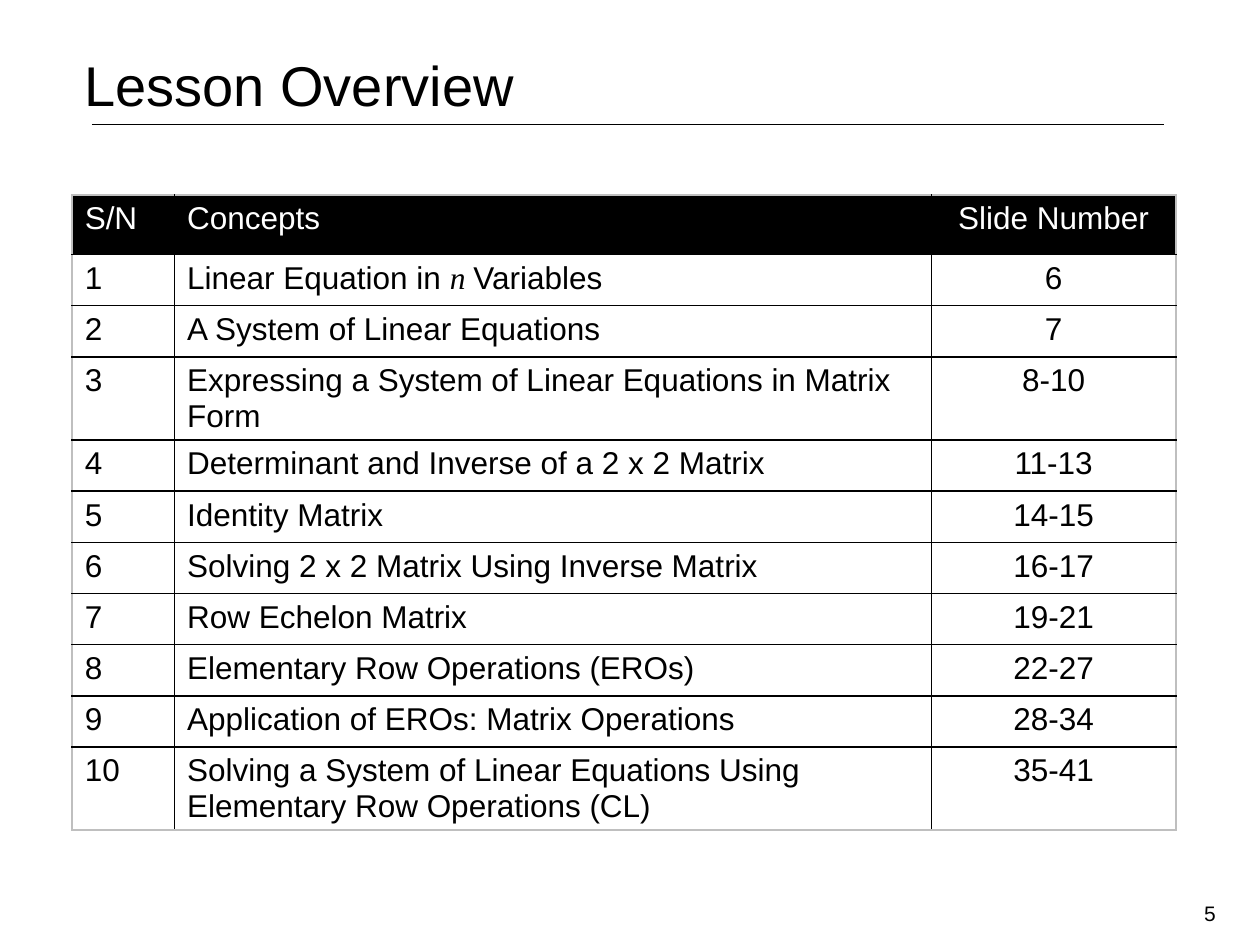
import pptx
import pptx.util
import pptx.dml.color
import pptx.enum.text
import pptx.enum.shapes
import pptx.oxml
import lxml.etree
from dataclasses import dataclass

Pt = pptx.util.Pt
RGB = pptx.dml.color.RGBColor.from_string
ALIGN = pptx.enum.text.PP_ALIGN
TOP = pptx.enum.text.MSO_ANCHOR.TOP


@dataclass
class Theme:
    ink: str = "000000"
    paper: str = "FFFFFF"
    edge: str = "BFBFBF"
    face: str = "Arial"
    math: str = "Times New Roman"
    head: int = 32
    body: int = 18
    note: int = 12


theme = Theme()

COLS = (58.5, 432.5, 139.75)
HEAD = ("S/N", "Concepts", "Slide Number")
# Each concept is a text, or a list of runs with every second one in italics
ITEMS = (
    (["Linear Equation in ", "n ", "Variables"], "6"),
    ("A System of Linear Equations", "7"),
    ("Expressing a System of Linear Equations in Matrix Form", "8-10"),
    ("Determinant and Inverse of a 2 x 2 Matrix", "11-13"),
    ("Identity Matrix", "14-15"),
    ("Solving 2 x 2 Matrix Using Inverse Matrix", "16-17"),
    ("Row Echelon Matrix", "19-21"),
    ("Elementary Row Operations (EROs)", "22-27"),
    ("Application of EROs: Matrix Operations", "28-34"),
    ("Solving a System of Linear Equations Using Elementary Row Operations (CL)",
     "35-41"),
)


def write(frame, text, size, color, align=ALIGN.LEFT):
    para = frame.paragraphs[0]
    para.alignment = align
    para.font.size = Pt(size)
    para.font.name = theme.face
    runs = [text] if isinstance(text, str) else text
    for i, part in enumerate(runs):
        run = para.add_run()
        run.text = part
        run.font.color.rgb = RGB(color)
        if i % 2:
            run.font.name = theme.math
            run.font.italic = True


def border(cell, colors):
    props = cell._tc.get_or_add_tcPr()
    for side, color in zip("LRTB", colors):
        props.append(pptx.oxml.parse_xml(
            '<a:ln%s xmlns:a="http://schemas.openxmlformats.org/drawingml/2006/main"'
            ' w="12700"><a:solidFill><a:srgbClr val="%s"/></a:solidFill></a:ln%s>'
            % (side, color, side)))


def header(slide, x, y, w, h):
    # Title
    title = slide.shapes.title
    title.left, title.top, title.width, title.height = map(Pt, (x, y, w, h))
    frame = title.text_frame
    frame.word_wrap = True
    frame.vertical_anchor = TOP
    frame.margin_top = Pt(7.5)
    write(frame, "Lesson Overview", theme.head, theme.ink)
    # Rule below the title
    rule = slide.shapes.add_connector(
        pptx.enum.shapes.MSO_CONNECTOR.STRAIGHT,
        Pt(x + 11.5), Pt(y + 49.5), Pt(x + 624), Pt(y + 49.5))
    rule.line.color.rgb = RGB(theme.ink)
    rule.line.width = Pt(0.25)
    lxml.etree.SubElement(rule._element.spPr, pptx.oxml.ns.qn("a:effectLst"))


def overview(slide, x, y, w, h):
    rows = [HEAD] + [(str(i), *item) for i, item in enumerate(ITEMS, 1)]
    table = slide.shapes.add_table(
        len(rows), len(COLS), Pt(x), Pt(y), Pt(w), Pt(h)).table
    table.first_row = table.horz_banding = False
    for col, width in zip(table.columns, COLS):
        col.width = Pt(width)
    last, end = len(rows) - 1, len(COLS) - 1
    for r, row in enumerate(rows):
        table.rows[r].height = Pt(29.25 if r else 34)
        for c, text in enumerate(row):
            cell = table.cell(r, c)
            outer = (c == 0, c == end, r == 0, r == last)
            border(cell, [theme.edge if o else theme.ink for o in outer])
            cell.fill.solid()
            cell.fill.fore_color.rgb = RGB(theme.paper if r else theme.ink)
            write(cell.text_frame, text, theme.body,
                  theme.ink if r else theme.paper,
                  ALIGN.CENTER if c == end else ALIGN.LEFT)


def number(slide, x, y, w, h):
    frame = slide.shapes.add_textbox(Pt(x), Pt(y), Pt(w), Pt(h)).text_frame
    frame.word_wrap = True
    write(frame, "5", theme.note, theme.ink)


def main():
    deck = pptx.Presentation()
    deck.slide_width, deck.slide_height = Pt(720), Pt(540)
    slide = deck.slides.add_slide(deck.slide_layouts[5])
    header(slide, 41, 21.6, 640, 90)
    overview(slide, 41.25, 111.5, sum(COLS), 368.5)
    number(slide, 681, 511, 39, 29)
    deck.save("out.pptx")


if __name__ == "__main__":
    main()
